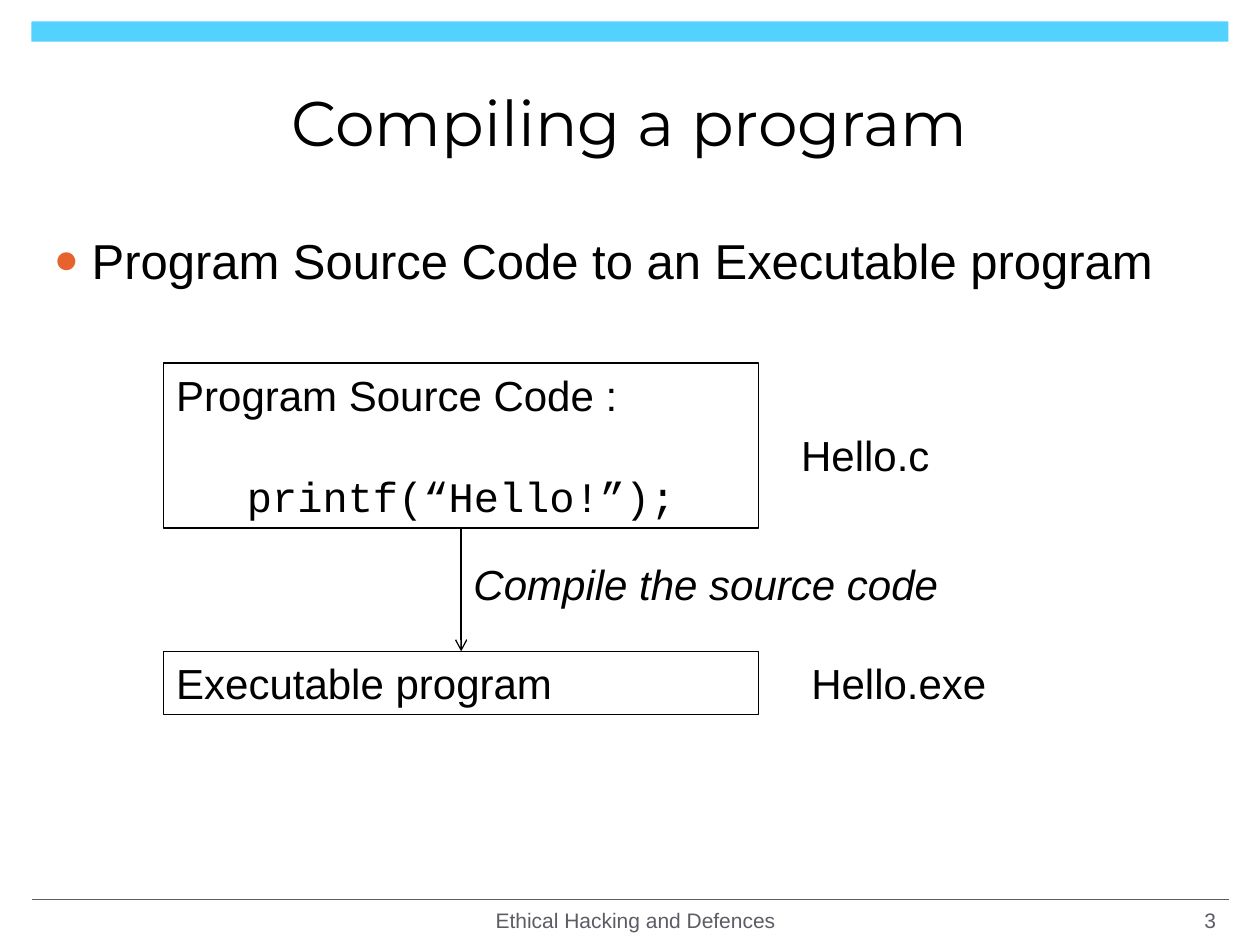
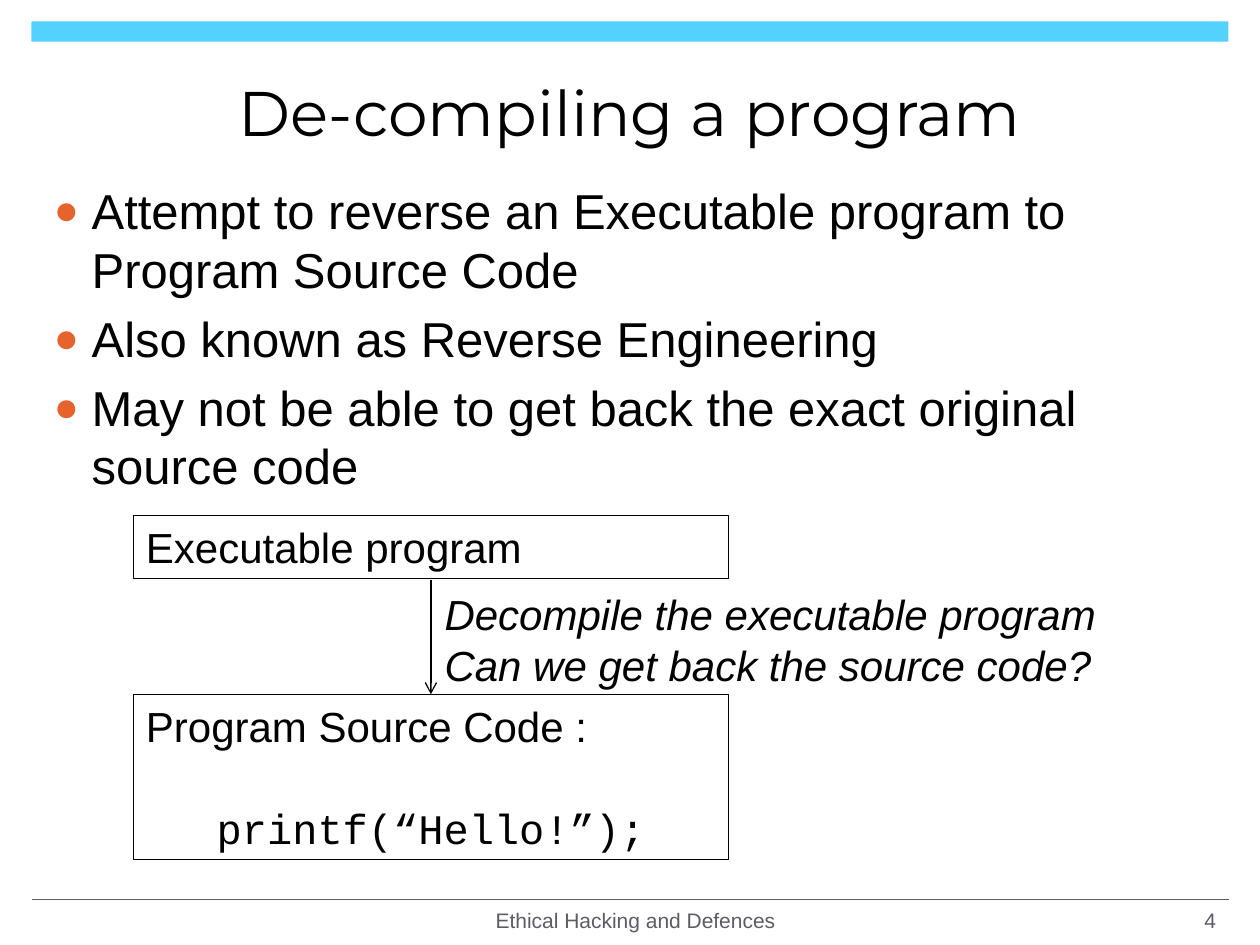
import pptx
import pptx.dml.color
import pptx.enum.shapes
import pptx.enum.text
import pptx.oxml.ns
import pptx.util
from lxml import etree

Inches, Pt = pptx.util.Inches, pptx.util.Pt
SHAPE = pptx.enum.shapes.MSO_SHAPE
ALIGN = pptx.enum.text.PP_ALIGN
ANCHOR = pptx.enum.text.MSO_ANCHOR
STRAIGHT = pptx.enum.shapes.MSO_CONNECTOR.STRAIGHT
qn = pptx.oxml.ns.qn

BLACK, GREY, BLUE, ORANGE = "000000", "5D5C64", "53D2FF", "E6632E"
LEADING = {28: 33.4, 24: 29}  # line pitch in points for each text size
BOX_W = 4.72


def color(value):
    return pptx.dml.color.RGBColor.from_string(value)


def write(sp, lines, size, font="Arial", fill=BLACK, align=ALIGN.LEFT,
          anchor=ANCHOR.TOP, wrap=True, italic=False):
    tf = sp.text_frame
    tf.word_wrap = wrap
    tf.vertical_anchor = anchor
    for i, line in enumerate(lines):
        p = tf.paragraphs[0] if i == 0 else tf.add_paragraph()
        p.alignment = align
        if size in LEADING:
            p.line_spacing = Pt(LEADING[size])
        r = p.add_run()
        r.text = line
        r.font.size = Pt(size)
        r.font.name = font
        r.font.italic = italic
        r.font.color.rgb = color(fill)
    return tf


slides = [
    dict(
        number=3, title="Compiling a program", title_h=1.01, body_top=1.78,
        bullets=["Program Source Code to an Executable program"],
        box_left=1.3, source_top=2.88, exe_top=5.17, arrow=(4.2, 5.17),
        labels=[(6.26, 3.36, 1.23, 0.5, ["Hello.c"], False),
                (6.34, 5.17, 1.61, 0.5, ["Hello.exe"], False),
                (3.66, 4.38, 3.93, 0.5, ["Compile the source code"], True)],
    ),
    dict(
        number=4, title="De-compiling a program", title_h=0.85, body_top=1.39,
        bullets=["Attempt to reverse an Executable program to Program Source Code",
                 "Also known as Reverse Engineering",
                 "May not be able to get back the exact original source code"],
        box_left=1.06, source_top=5.51, exe_top=4.09, arrow=(4.6, 5.51),
        labels=[(3.43, 4.62, 5.43, 0.91,
                 ["Decompile the executable program",
                  "Can we get back the source code?"], True)],
    ),
]

prs = pptx.Presentation()
prs.slide_width, prs.slide_height = Inches(10), Inches(7.5)

for data in slides:
    s = prs.slides.add_slide(prs.slide_layouts[6])

    # Top band
    band = s.shapes.add_shape(SHAPE.ROUND_2_SAME_RECTANGLE, Inches(0.25),
                              Inches(0.17), Inches(9.5), Inches(0.16))
    band.adjustments[0], band.adjustments[1] = 0.05, 0
    band.shadow.inherit = False
    band.fill.solid()
    band.fill.fore_color.rgb = color(BLUE)
    band.line.fill.background()

    # Footer rule and flow arrow
    center = data["box_left"] + BOX_W / 2
    start, end = data["arrow"]
    for x1, y1, x2, y2, stroke, width in [
            (0.25, 7.14, 9.75, 7.14, GREY, 1),
            (center, start, center, end, BLACK, 0.75)]:
        line = s.shapes.add_connector(STRAIGHT, Inches(x1), Inches(y1),
                                      Inches(x2), Inches(y2))
        line.line.color.rgb = color(stroke)
        line.line.width = Pt(width)
        etree.SubElement(line._element.spPr, qn("a:effectLst"))
    etree.SubElement(line.line._get_or_add_ln(), qn("a:tailEnd"), type="arrow")

    # Title
    sp = s.shapes.add_textbox(Inches(0.33), Inches(0.46), Inches(9.33),
                              Inches(data["title_h"]))
    write(sp, [data["title"]], 36, "Montserrat", align=ALIGN.CENTER,
          anchor=ANCHOR.MIDDLE)

    # Bulleted body
    top = data["body_top"]
    sp = s.shapes.add_textbox(Inches(0.33), Inches(top), Inches(9.33),
                              Inches(7 - top))
    tf = write(sp, data["bullets"], 28)
    for i, p in enumerate(tf.paragraphs):
        if i:
            p.space_before = Pt(6)
        pPr = p._p.get_or_add_pPr()
        pPr.set("marL", str(Inches(0.3)))
        pPr.set("indent", str(-Inches(0.3)))
        buClr = etree.SubElement(pPr, qn("a:buClr"))
        etree.SubElement(buClr, qn("a:srgbClr"), val=ORANGE)
        etree.SubElement(pPr, qn("a:buSzPct"), val="85000")
        etree.SubElement(pPr, qn("a:buFont"), typeface="Arial")
        etree.SubElement(pPr, qn("a:buChar"), char="●")

    # Footer text and page number
    for left, width, text, align in [
            (3.17, 3.75, "Ethical Hacking and Defences", ALIGN.CENTER),
            (7.42, 2.33, str(data["number"]), ALIGN.RIGHT)]:
        sp = s.shapes.add_textbox(Inches(left), Inches(7.13), Inches(width),
                                  Inches(0.35))
        write(sp, [text], 12, fill=GREY, align=align, anchor=ANCHOR.MIDDLE)

    # Source code and executable boxes
    for top, height, lines in [
            (data["source_top"], 1.31, ["Program Source Code :", "printf(“Hello!”);"]),
            (data["exe_top"], 0.5, ["Executable program"])]:
        sp = s.shapes.add_shape(SHAPE.RECTANGLE, Inches(data["box_left"]),
                                Inches(top), Inches(BOX_W), Inches(height))
        sp.shadow.inherit = False
        sp.fill.background()
        sp.line.color.rgb = color(BLACK)
        sp.line.width = Pt(0.75)
        tf = write(sp, lines, 24)
        for p in tf.paragraphs[1:]:
            p.alignment = ALIGN.CENTER
            p.space_before = Pt(LEADING[24])
            p.runs[0].font.name = "Courier New"

    # Labels beside the boxes and the arrow
    for left, top, width, height, lines, italic in data["labels"]:
        sp = s.shapes.add_textbox(Inches(left), Inches(top), Inches(width),
                                  Inches(height))
        write(sp, lines, 24, wrap=False, italic=italic)

prs.save("out.pptx")
